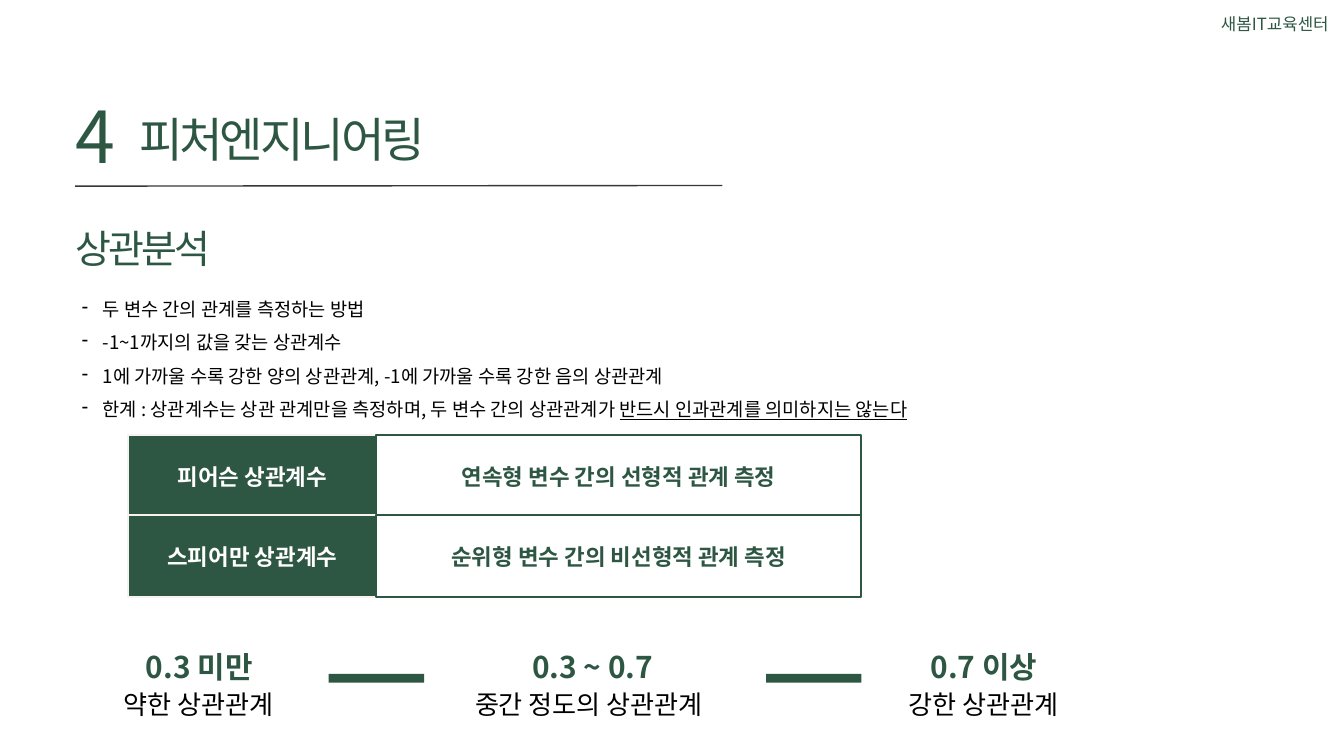
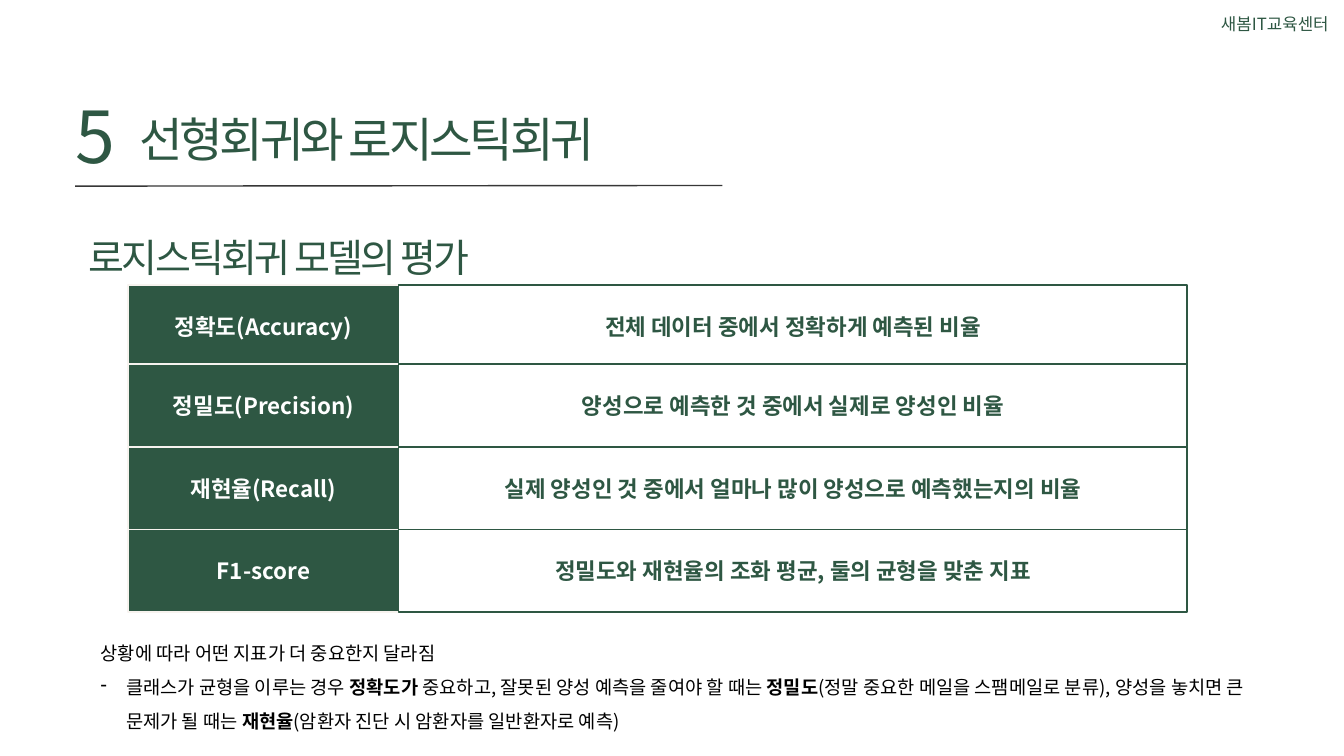
from lxml.etree import SubElement
from pptx import Presentation
from pptx.dml.color import RGBColor
from pptx.enum.shapes import MSO_CONNECTOR, MSO_SHAPE
from pptx.enum.text import MSO_ANCHOR, MSO_AUTO_SIZE, PP_ALIGN
from pptx.oxml.ns import qn
from pptx.util import Pt

PX = 9144  # 100 px to the inch
GREEN = RGBColor(0x2E, 0x57, 0x43)
CREAM = RGBColor(0xF7, 0xF3, 0xEF)
WHITE = RGBColor(0xFF, 0xFF, 0xFF)
BLACK = RGBColor(0x00, 0x00, 0x00)
GREY = RGBColor(0x37, 0x37, 0x37)
FONT = "Noto Sans CJK KR"
STEP, LAP = 123, 5  # row height, overlap of the first two rows


def emu(*box):
    return [n * PX for n in box]


# Text
def add_run(par, text, size, color, bold=False, under=False, track=0):
    run = par.add_run()
    run.text = text
    font = run.font
    font.size, font.name, font.bold = Pt(size), FONT, bold
    font.color.rgb = color
    if under:
        font.underline = True
    props = run._r.get_or_add_rPr()
    SubElement(props, qn("a:ea")).set("typeface", FONT)
    if track:
        props.set("spc", str(round(track * 100)))


def fit(frame, wrap=True, inset=True):
    frame.word_wrap = wrap
    frame.auto_size = MSO_AUTO_SIZE.SHAPE_TO_FIT_TEXT
    if not inset:
        frame.margin_left = frame.margin_top = 0
        frame.margin_right = frame.margin_bottom = 0


def add_text(slide, box, text, size, color, bold=False, space=None, wrap=True):
    shape = slide.shapes.add_textbox(*emu(*box))
    fit(shape.text_frame, wrap)
    par = shape.text_frame.paragraphs[0]
    if space:
        par.line_spacing = space
    add_run(par, text, size, color, bold)
    return shape


def fill_head(shape, text, size, lead, track):
    frame = shape.text_frame
    fit(frame, inset=False)
    frame.vertical_anchor = MSO_ANCHOR.TOP
    par = frame.paragraphs[0]
    par.alignment = PP_ALIGN.LEFT
    par.line_spacing = Pt(lead)
    add_run(par, text, size, GREEN, track=track)


def add_rect(slide, box, fill, line=None):
    shape = slide.shapes.add_shape(MSO_SHAPE.RECTANGLE, *emu(*box))
    shape.shadow.inherit = False
    shape.fill.solid()
    shape.fill.fore_color.rgb = fill
    if line is None:
        shape.line.fill.background()
    else:
        shape.line.color.rgb = line
        shape.line.width = Pt(2)
    return shape


# Centre name, held by the master
def add_mark(deck, slide):
    mark = add_text(slide, (1795, 15, 192, 40), "새봄IT교육센터", 18, GREEN)
    mark.text_frame.paragraphs[0].alignment = PP_ALIGN.RIGHT
    mark.element.nvSpPr.cNvPr.set("id", "99")
    deck.slide_master.shapes.element.append(mark.element)


# Chapter number, title and rule
def add_head(slide, box, num, text):
    x, y, wide = box
    title = slide.shapes.title
    title.left, title.top, title.width, title.height = emu(x + 95, y + 34, 793, 92)
    fill_head(title, text, 50.8, 71.1, -3.4)
    label = slide.shapes.add_textbox(*emu(x, y, 79, 138))
    fill_head(label, num, 76.8, 107.5, -5.1)
    ends = emu(x, y + 161, x + wide, y + 160)
    rule = slide.shapes.add_connector(MSO_CONNECTOR.STRAIGHT, *ends)
    rule.line.color.rgb = GREY
    rule.line.width = Pt(1.5)
    SubElement(rule.element.spPr, qn("a:effectLst"))


def add_sub(slide, x, y, text):
    shape = slide.shapes.add_textbox(*emu(x, y, 963, 78))
    fill_head(shape, text, 41.8, 58.5, -2.8)


# Term and meaning, row by row
def add_terms(slide, box, split, rows):
    x, y, wide = box
    for i, pair in enumerate(rows):
        top = y + i * STEP - min(i, 1) * LAP
        cells = ((x, split, GREEN, CREAM, WHITE),
                 (x + split, wide - split, WHITE, GREEN, GREEN))
        for text, (left, span, fill, line, ink) in zip(pair, cells):
            cell = add_rect(slide, (left, top, span, STEP), fill, line)
            frame = cell.text_frame
            frame.word_wrap = True
            frame.vertical_anchor = MSO_ANCHOR.MIDDLE
            par = frame.paragraphs[0]
            par.alignment = PP_ALIGN.CENTER
            add_run(par, text, 24, ink, True)


# Notes: each is (indent in px, runs); a run is (text, bold, underlined)
def add_list(slide, box, notes):
    frame = slide.shapes.add_textbox(*emu(*box)).text_frame
    fit(frame)
    for i, (dent, runs) in enumerate(notes):
        par = frame.add_paragraph() if i else frame.paragraphs[0]
        par.line_spacing = 1.5
        if dent:
            props = par._p.get_or_add_pPr()
            props.set("marL", str(dent * PX))
            props.set("indent", str(-dent * PX))
            SubElement(props, qn("a:buChar")).set("char", "-")
        for text, bold, under in runs:
            add_run(par, text, 20, BLACK, bold, under)


# Strength scale with bars between the steps
def add_scale(slide, x, y, steps):
    for i, (span, name, wide, long) in enumerate(steps):
        mid = x + i * 584
        add_text(slide, (mid - wide // 2, y, wide, 81), span, 32, GREEN, True, 1.5)
        add_text(slide, (mid - 8 - long // 2, y + 86, long, 57), name, 28, BLACK,
                 wrap=False)
    for i in range(len(steps) - 1):
        add_rect(slide, (x + 181 + i * 651, y + 69, 142, 13), GREEN)


def add_slide(deck, num, text):
    slide = deck.slides.add_slide(deck.slide_layouts[5])
    add_head(slide, (112, 116, 963), num, text)
    return slide


def plain(text):
    return text, False, False


def strong(text):
    return text, True, False


def build_link(deck):
    slide = add_slide(deck, "4", "피처엔지니어링")
    add_mark(deck, slide)
    add_sub(slide, 112, 323, "상관분석")
    add_list(slide, (112, 421, 1702, 209), [
        (31, [plain("두 변수 간의 관계를 측정하는 방법")]),
        (31, [plain("-1~1까지의 값을 갖는 상관계수")]),
        (31, [plain("1에 가까울 수록 강한 양의 상관관계, -1에 가까울 수록 강한 음의 상관관계")]),
        (31, [plain("한계 : 상관계수는 상관 관계만을 측정하며, 두 변수 간의 상관관계가 "),
              ("반드시 인과관계를 의미하지는 않는다", False, True)]),
    ])
    add_terms(slide, (191, 648, 1090), 369, [
        ("피어슨 상관계수", "연속형 변수 간의 선형적 관계 측정"),
        ("스피어만 상관계수", "순위형 변수 간의 비선형적 관계 측정"),
    ])
    add_scale(slide, 308, 934, [
        ("0.3 미만", "약한 상관관계", 202, 253),
        ("0.3 ~ 0.7", "중간 정도의 상관관계", 220, 375),
        ("0.7 이상", "강한 상관관계", 202, 253),
    ])


def build_score(deck):
    slide = add_slide(deck, "5", "선형회귀와 로지스틱회귀")
    add_sub(slide, 132, 336, "로지스틱회귀 모델의 평가")
    add_terms(slide, (191, 424, 1576), 402, [
        ("정확도(Accuracy)", "전체 데이터 중에서 정확하게 예측된 비율"),
        ("정밀도(Precision)", "양성으로 예측한 것 중에서 실제로 양성인 비율"),
        ("재현율(Recall)", "실제 양성인 것 중에서 얼마나 많이 양성으로 예측했는지의 비율"),
        ("F1-score", "정밀도와 재현율의 조화 평균, 둘의 균형을 맞춘 지표"),
    ])
    add_list(slide, (140, 934, 1765, 156), [
        (0, [plain("상황에 따라 어떤 지표가 더 중요한지 달라짐")]),
        (38, [plain("클래스가 균형을 이루는 경우 "),
              strong("정확도가"),
              plain(" 중요하고, 잘못된 양성 예측을 줄여야 할 때는 "),
              strong("정밀도"),
              plain("(정말 중요한 메일을 스팸메일로 분류), 양성을 놓치면 큰 문제가 될 때는 "),
              strong("재현율"),
              plain("(암환자 진단 시 암환자를 일반환자로 예측)")]),
    ])


def main():
    deck = Presentation()
    deck.slide_width, deck.slide_height = emu(2000, 1125)
    build_link(deck)
    build_score(deck)
    deck.save("out.pptx")


if __name__ == "__main__":
    main()
